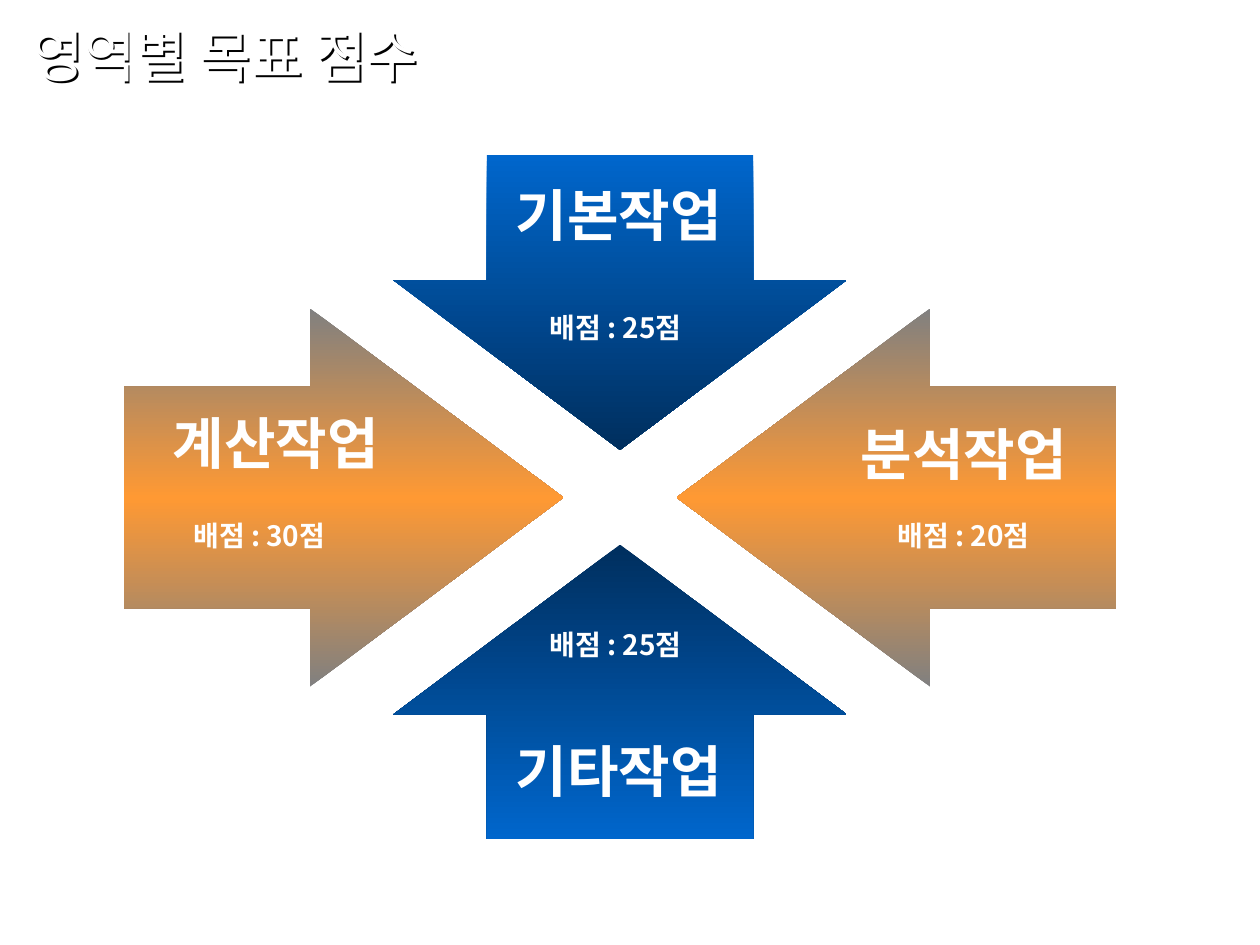
import pptx
import pptx.dml.color
import pptx.enum.shapes
import pptx.enum.text
import pptx.oxml
import pptx.oxml.ns
import pptx.util

Cm = pptx.util.Cm
ARROW = pptx.enum.shapes.MSO_SHAPE
ALIGN = pptx.enum.text.PP_ALIGN
FONT = "Noto Sans CJK KR"
NAMESPACE = pptx.oxml.ns.nsdecls("a")
NAVY_DOWN = ["0066CC", "002F5E"]
NAVY_UP = NAVY_DOWN[::-1]
ORANGE = ["808080", "FF9933", "808080"]


def color(hex_code):
    return pptx.dml.color.RGBColor.from_string(hex_code)


def add_text(slide, box, wording, size, bold=False, align=ALIGN.LEFT, wrap=False):
    label = slide.shapes.add_textbox(*(Cm(length) for length in box))
    frame = label.text_frame
    frame.word_wrap = wrap
    paragraph = frame.paragraphs[0]
    paragraph.alignment = align
    run = paragraph.add_run()
    run.text = wording
    run.font.size = pptx.util.Pt(size)
    run.font.bold = bold
    run.font.color.rgb = color("FFFFFF")
    run.font.name = FONT
    run._r.get_or_add_rPr().append(
        pptx.oxml.parse_xml(f'<a:ea {NAMESPACE} typeface="{FONT}"/>'))
    return label


def add_title(slide, box, wording):
    title = add_text(slide, box, wording, 32, wrap=True)
    title.text_frame.vertical_anchor = pptx.enum.text.MSO_ANCHOR.MIDDLE
    title.text_frame.margin_left = Cm(0.66)
    title._element.spPr.append(pptx.oxml.parse_xml(
        f'<a:effectLst {NAMESPACE}><a:outerShdw dist="17961" dir="2700000">'
        '<a:srgbClr val="000000"/></a:outerShdw></a:effectLst>'))


def fill_gradient(shape, hex_codes):
    shape.fill.gradient()
    shape.fill.gradient_angle = 270
    stops = shape._element.spPr.find(".//" + pptx.oxml.ns.qn("a:gsLst"))
    for stop in list(stops):
        stops.remove(stop)
    for index, hex_code in enumerate(hex_codes):
        position = 100000 * index // (len(hex_codes) - 1)
        stops.append(pptx.oxml.parse_xml(
            f'<a:gs {NAMESPACE} pos="{position}"><a:srgbClr val="{hex_code}"/></a:gs>'))


def add_area(slide, box, direction, head, gradient, name, name_offset, score, score_offset):
    left, top = box[:2]
    arrow = slide.shapes.add_shape(direction, *(Cm(length) for length in box))
    arrow.adjustments[0] = 0.587
    arrow.adjustments[1] = head
    arrow.shadow.inherit = False
    arrow.line.fill.background()
    fill_gradient(arrow, gradient)
    add_text(slide, (left + name_offset[0], top + name_offset[1], 4.67, 1.63),
             name, 32, bold=True, align=ALIGN.CENTER)
    add_text(slide, (left + score_offset[0], top + score_offset[1], 3.48, 0.94),
             f"배점 : {score}점", 16, bold=True)


def main():
    deck = pptx.Presentation()
    deck.slide_width, deck.slide_height = Cm(25.4), Cm(19.05)
    slide = deck.slides.add_slide(deck.slide_layouts[6])
    add_title(slide, (0, 0.05, 25.4, 2.13), "영역별 목표 점수")
    areas = [
        ((7.93, 3.13, 9.14, 5.94), ARROW.DOWN_ARROW, 0.576, NAVY_DOWN,
         "기본작업", (2.21, 0.39), 25, (2.9, 3.01)),
        ((2.5, 6.22, 8.86, 7.62), ARROW.RIGHT_ARROW, 0.67, ORANGE,
         "계산작업", (0.73, 1.9), 30, (1.15, 4.11)),
        ((13.64, 6.22, 8.86, 7.62), ARROW.LEFT_ARROW, 0.67, ORANGE,
         "분석작업", (3.46, 2.11), 20, (4.21, 4.11)),
        ((7.93, 10.98, 9.14, 5.94), ARROW.UP_ARROW, 0.576, NAVY_UP,
         "기타작업", (2.21, 3.74), 25, (2.9, 1.55)),
    ]
    for area in areas:
        add_area(slide, *area)
    deck.save("out.pptx")


if __name__ == "__main__":
    main()
